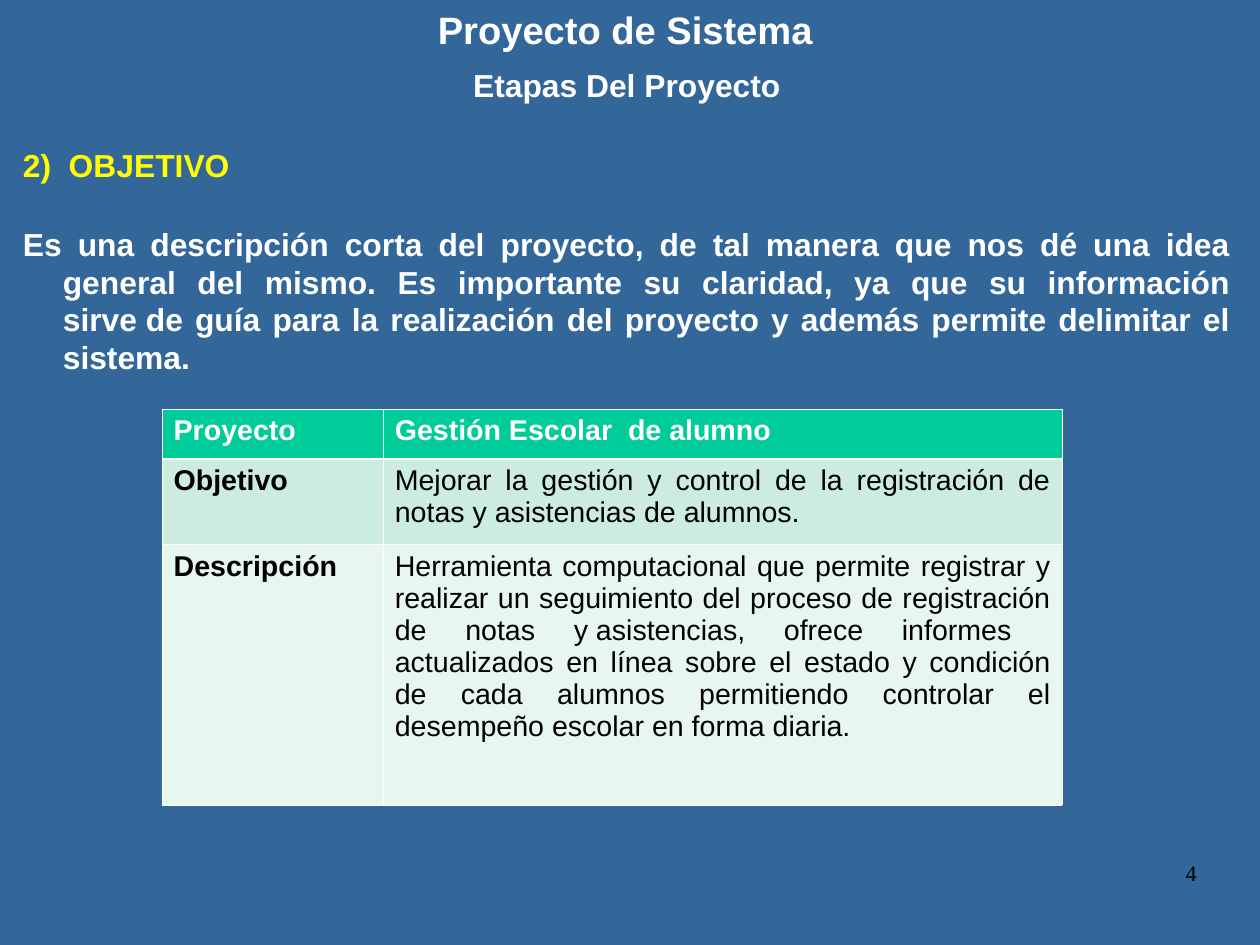
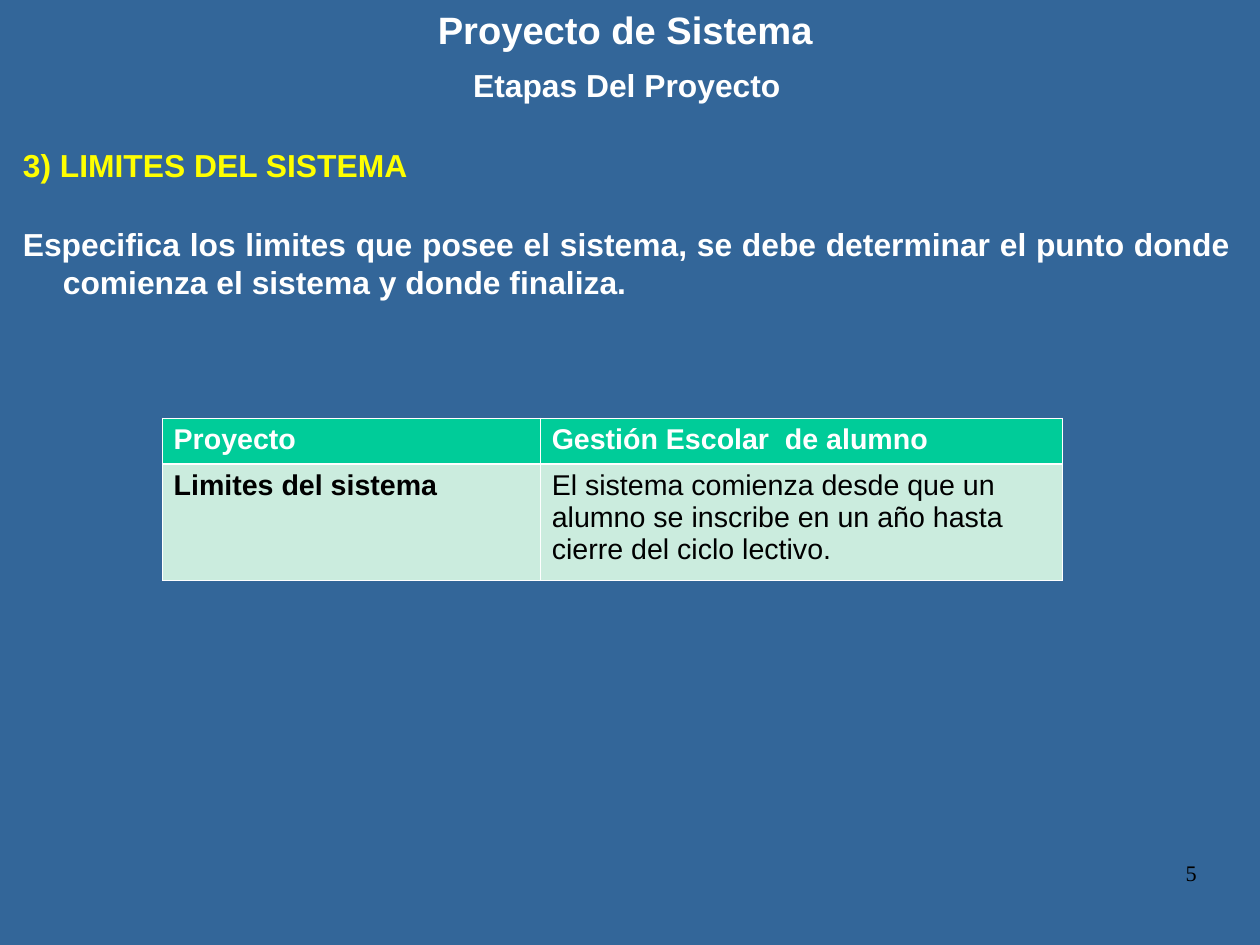
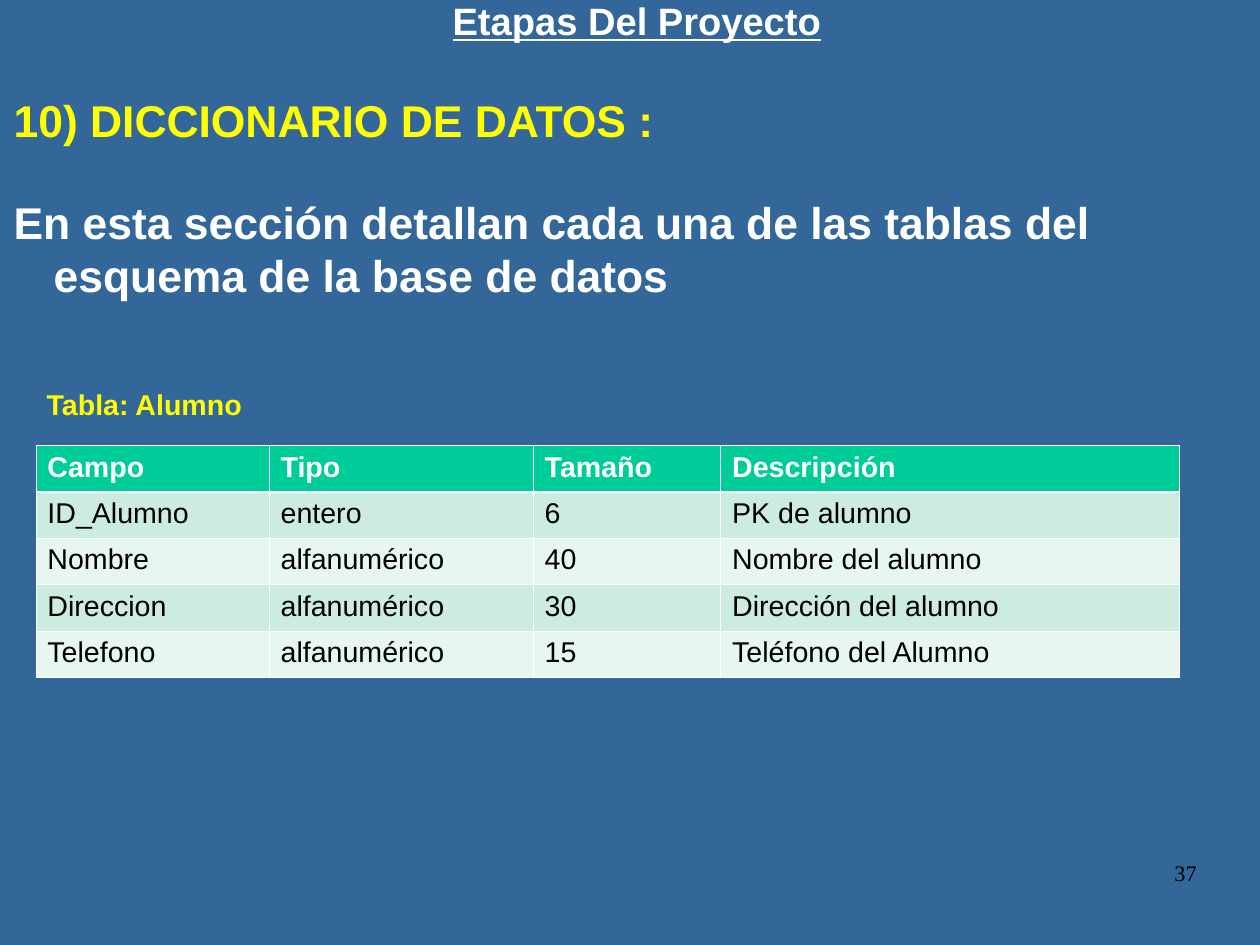
from lxml.etree import SubElement as Sub
from pptx import Presentation
from pptx.dml.color import RGBColor as Rgb
from pptx.enum.text import MSO_ANCHOR as Anchor, PP_ALIGN as Align
from pptx.oxml.ns import qn
from pptx.util import Cm, Inches, Pt

BLUE = Rgb(0x33, 0x66, 0x99)
WHITE = Rgb(0xFF, 0xFF, 0xFF)
BLACK = Rgb(0, 0, 0)
YELLOW = Rgb(0xFF, 0xFF, 0)
GREEN = Rgb(0, 0xCC, 0x99)
BANDS = Rgb(0xCB, 0xEC, 0xDE), Rgb(0xE7, 0xF6, 0xEF)

WIDTH, HEIGHT = Cm(28), Cm(21)
COL, ROW = WIDTH / 100, HEIGHT / 100  # grid of 100 columns and 100 rows

NUMBER = (71.66, 91.05, 23.31, 6.89)
TITLE = (4.63, 0, 89.99, 6.53)
BODY = (0.73, 7.13, 96.97, 92.87)
WIDE = (0, 0, 100, 32.9)
LABEL = (2.81, 40.5, 17.51, 4.72)

STAGES = "Etapas Del Proyecto"
HEADER = ("Proyecto", "Gestión Escolar  de alumno")
HARD = chr(160)  # space that does not break


def cols(n):
    return round(n * COL)


def rows(n):
    return round(n * ROW)


def style(para, size, color=WHITE, bold=True, face="Arial", under=False):
    for run in para.runs:
        font = run.font
        font.size, font.bold, font.name = Pt(size), bold, face
        font.color.rgb = color
        font.underline = under


def add_frame(slide, box, pad=0):
    """Return the frame of a text box placed on the grid."""
    x, y, w, h = box
    frame = slide.shapes.add_textbox(cols(x), rows(y), cols(w), rows(h)).text_frame
    frame.word_wrap = True
    frame.margin_left = frame.margin_right = Inches(2 * pad)
    frame.margin_top = frame.margin_bottom = Inches(pad)
    return frame


def add_line(slide, box, text, size, align, pad=0, **look):
    """Place a text of one line."""
    frame = add_frame(slide, box, pad)
    frame.text = text
    para = frame.paragraphs[0]
    para.alignment, para.line_spacing = align, 0.98
    style(para, size, **look)
    return frame


def add_page(deck, number):
    """Add a slide with its number."""
    slide = deck.slides.add_slide(deck.slide_layouts[6])
    add_line(slide, NUMBER, str(number), 14, Align.RIGHT,
             color=BLACK, bold=False, face="Times New Roman")
    return slide


def add_body(slide, box, head, text, sizes, align, under=False):
    """Place the stage line, the yellow heading and the description."""
    frame = add_frame(slide, box)
    frame.text = "\n".join((STAGES, head, text))
    looks = zip(frame.paragraphs, sizes, (WHITE, YELLOW, WHITE),
                (Align.CENTER, Align.LEFT, align), (under, False, False))
    for i, (para, size, color, side, line) in enumerate(looks):
        para.alignment, para.line_spacing = side, 0.98
        para.space_before = Pt(size * 0.625 if i else 0)
        para.space_after = Pt(14.3)
        props = para._p.get_or_add_pPr()
        props.set("marL", str(Inches(0.47)))
        props.set("indent", str(Inches(-0.35)))
        style(para, size, color, under=line)


def add_edges(cell, top, bottom):
    props = cell._tc.get_or_add_tcPr()
    for side, width in zip("LRTB", (0.45, 0.45, top, bottom)):
        edge = Sub(props, qn("a:ln" + side), w=str(Pt(width)))
        fill = Sub(edge, qn("a:solidFill"))
        Sub(fill, qn("a:srgbClr"), val=str(WHITE))


def add_grid(slide, x, y, widths, heights, data, keys=False, align=Align.LEFT):
    """Place a banded table; keys makes the first column bold."""
    table = slide.shapes.add_table(
        len(heights), len(widths), cols(x), rows(y),
        cols(sum(widths)), rows(sum(heights))).table
    for col, width in zip(table.columns, widths):
        col.width = cols(width)
    for r, (line, height) in enumerate(zip(data, heights)):
        table.rows[r].height = rows(height)
        for c, text in enumerate(line):
            cell = table.cell(r, c)
            add_edges(cell, 1.47 if r == 1 else 0.45, 0.45 if r else 1.47)
            cell.fill.solid()
            cell.fill.fore_color.rgb = BANDS[(r - 1) % 2] if r else GREEN
            cell.text = text
            para = cell.text_frame.paragraphs[0]
            para.alignment = align if r and c else Align.LEFT
            style(para, 18, BLACK if r else WHITE, r == 0 or (keys and c == 0))


def add_stage(deck, number, head, text, y, widths, heights, data, align):
    """Add a slide that explains one stage with a table of keys."""
    slide = add_page(deck, number)
    title = add_line(slide, TITLE, "Proyecto de Sistema", 24, Align.CENTER)
    title.vertical_anchor = Anchor.MIDDLE
    add_body(slide, BODY, head, text, (20, 20, 20), Align.JUSTIFY)
    add_grid(slide, 12.88, y, widths, heights, (HEADER, *data), True, align)


def add_fields(deck, number, head, text, name, data):
    """Add a slide that lists the fields of a database table."""
    slide = add_page(deck, number)
    add_body(slide, WIDE, head, text, (24, 28, 28), Align.LEFT, under=True)
    add_grid(slide, 2.86, 47.13, (18.51, 20.96, 14.88, 36.38),
             [4.91] * len(data), data)
    label = add_line(slide, LABEL, name, 18, Align.LEFT, pad=0.05, color=YELLOW)
    label.word_wrap = False


def main():
    deck = Presentation()
    deck.slide_width, deck.slide_height = WIDTH, HEIGHT
    back = deck.slide_master.background.fill
    back.solid()
    back.fore_color.rgb = BLUE

    add_stage(
        deck, 4, "2)  OBJETIVO",
        "Es una descripción corta del proyecto, de tal manera que nos dé una "
        "idea general del mismo. Es importante su claridad, ya que su "
        f"información sirve{HARD}de guía para la realización del proyecto y "
        "además permite delimitar el sistema. ",
        43.27, (17.55, 53.85), (5.3, 9.07, 27.55),
        (("Objetivo",
          "Mejorar la gestión y control de la registración de notas y "
          "asistencias de alumnos."),
         ("Descripción",
          "Herramienta computacional que permite registrar y realizar un "
          "seguimiento del proceso de registración de notas "
          f"y{HARD}asistencias, ofrece informes  actualizados en línea sobre "
          "el estado y condición de cada alumnos permitiendo controlar el "
          "desempeño escolar en forma diaria.")),
        Align.JUSTIFY)
    add_stage(
        deck, 5, "3) LIMITES DEL SISTEMA",
        "Especifica los limites que posee el sistema, se debe determinar el "
        "punto donde comienza el sistema y donde finaliza.",
        44.24, (30.01, 41.41), (4.82, 12.33),
        (("Limites del sistema",
          "El sistema comienza desde que un alumno se inscribe en un año "
          "hasta cierre del ciclo lectivo."),),
        Align.LEFT)
    add_fields(
        deck, 37, "10) DICCIONARIO DE DATOS :",
        "En esta sección detallan cada una de las tablas del esquema de la "
        "base de datos",
        "Tabla: Alumno",
        (("Campo", "Tipo", "Tamaño", "Descripción"),
         ("ID_Alumno", "entero", "6", "PK de alumno"),
         ("Nombre", "alfanumérico", "40", "Nombre del alumno"),
         ("Direccion", "alfanumérico", "30", "Dirección del alumno"),
         ("Telefono", "alfanumérico", "15", "Teléfono del Alumno")))
    deck.save("out.pptx")


if __name__ == "__main__":
    main()
